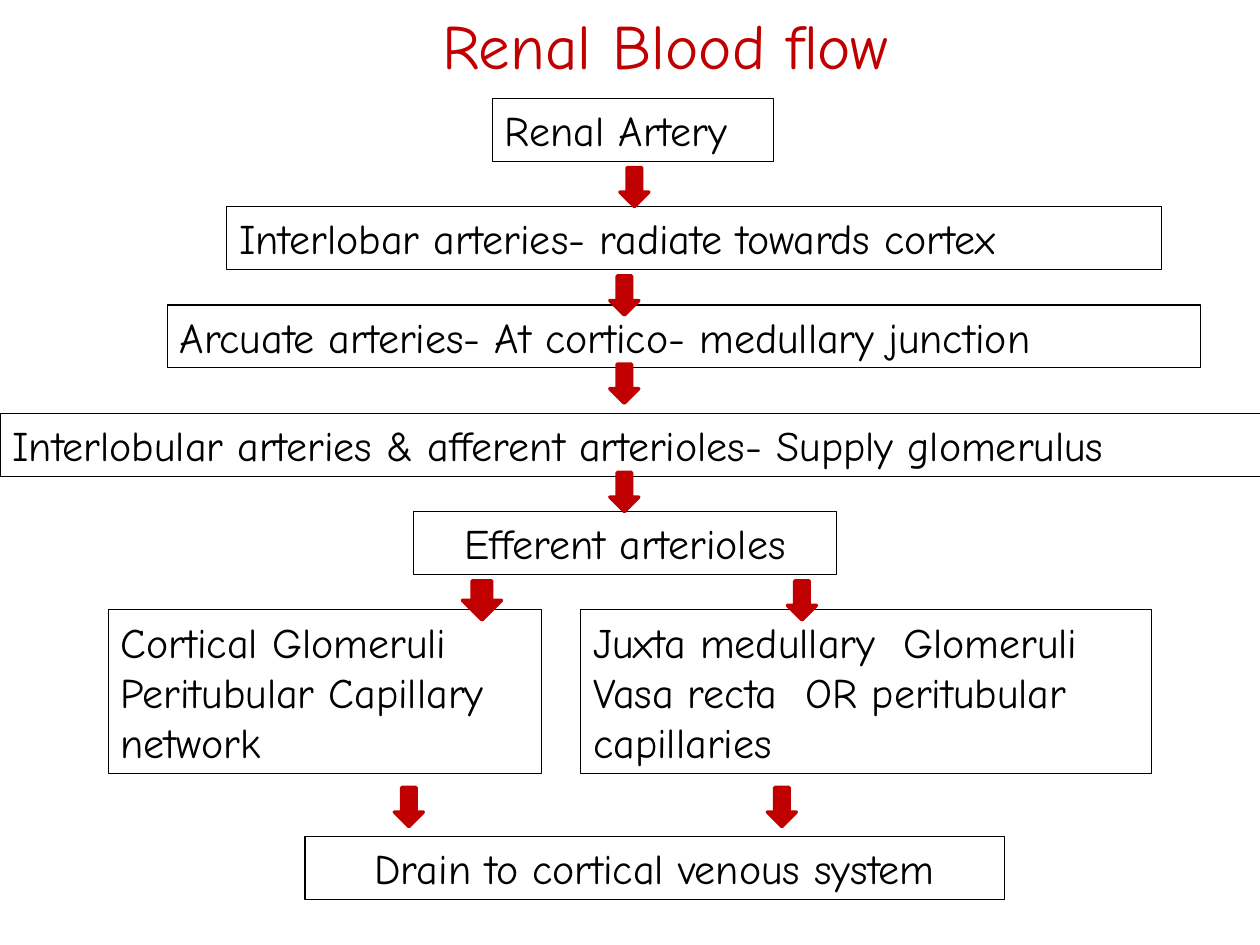
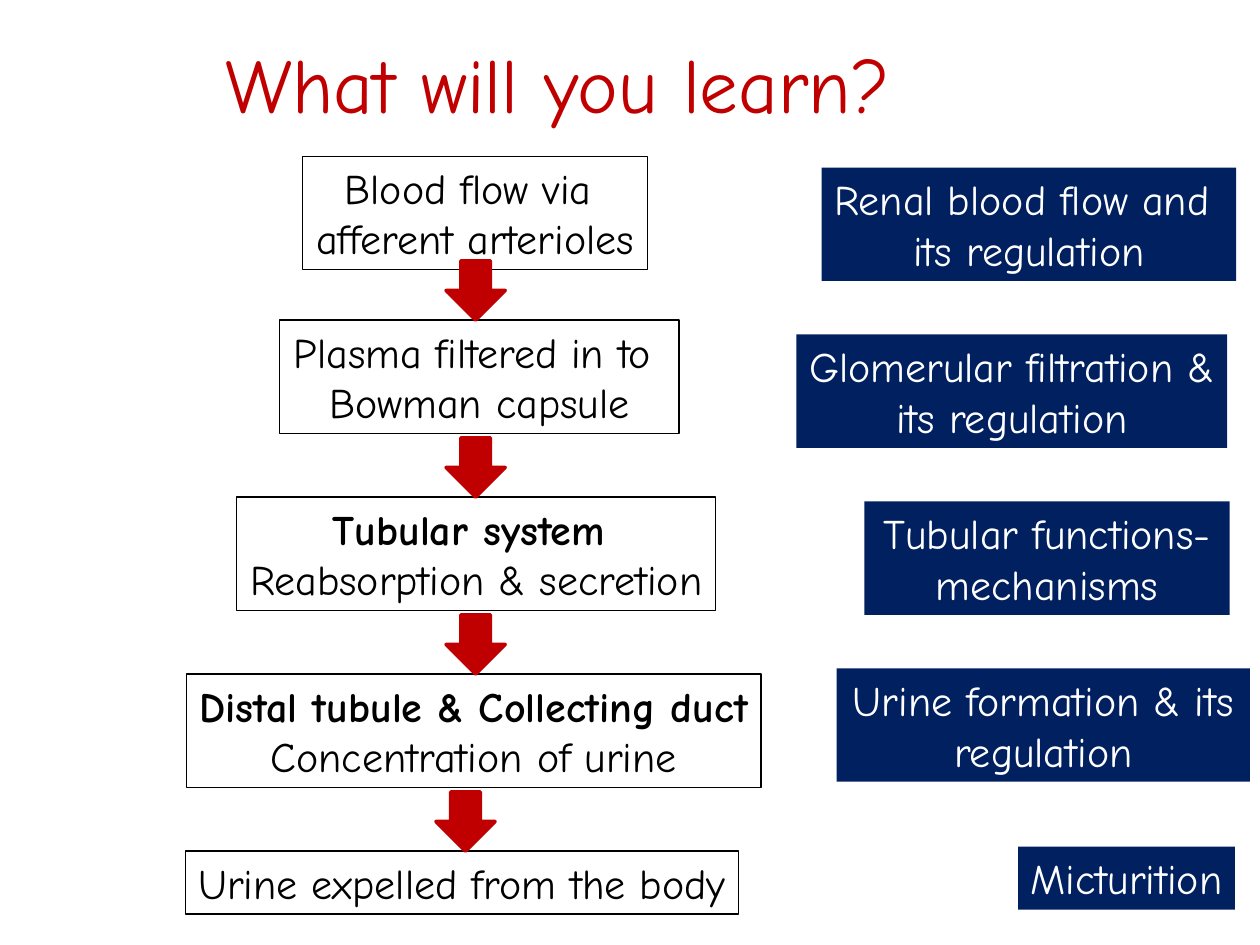
"""Build two flowchart slides on renal blood flow and urine formation."""
from dataclasses import dataclass
from typing import Any

import pptx
import pptx.dml.color
import pptx.enum.shapes
import pptx.enum.text
import pptx.util

Inches = pptx.util.Inches
Pt = pptx.util.Pt
SHAPE = pptx.enum.shapes.MSO_SHAPE
ALIGN = pptx.enum.text.PP_ALIGN
ANCHOR = pptx.enum.text.MSO_ANCHOR
FIT = pptx.enum.text.MSO_AUTO_SIZE

FONT = "Comic Neue"
RED, NAVY, BLACK, WHITE = "C00000", "002060", "000000", "FFFFFF"
LINE_HEIGHT, PADDING = 0.4, 0.1
LEARN_ARROW = 0.47
STEP_TOP, STEP_PITCH = 2.54, 1.405
PANEL_TOP, PANEL_PITCH = 1.33, 1.325


@dataclass
class Box:
    left: float
    top: float
    width: float
    lines: list[str]
    rows: int = 1
    centred: bool = False
    wrap: bool = True
    bold_first: bool = False
    fill: str = ""


@dataclass
class Arrow:
    left: float
    top: float
    width: float = 0.23
    height: float = 0.31


FLOW_BOXES = [
    Box(3.91, 0.78, 2.23, ["Renal Artery"]),
    Box(1.8, 1.64, 7.42, ["Interlobar arteries- radiate towards cortex"]),
    Box(1.33, 2.42, 8.2, ["Arcuate arteries- At cortico- medullary junction"]),
    Box(0, 3.28, 10.08, ["Interlobular arteries & afferent arterioles- Supply glomerulus"]),
    Box(3.28, 4.06, 3.36, ["Efferent arterioles"], centred=True),
    Box(0.86, 4.84, 3.44, ["Cortical Glomeruli", "Peritubular Capillary network"], rows=3),
    Box(4.61, 4.84, 4.53,
        ["Juxta medullary  Glomeruli", "Vasa recta  OR peritubular capillaries"], rows=3),
    Box(2.42, 6.64, 5.55, ["Drain to cortical venous system"], centred=True),
]

FLOW_ARROWS = [
    Arrow(4.92, 1.33),
    *(Arrow(4.84, top) for top in (2.19, 2.89, 3.75)),
    Arrow(6.25, 4.61),
    Arrow(3.67, 4.61, width=0.31),
    Arrow(6.09, 6.25),
    Arrow(3.13, 6.25),
]

LATER_STEPS = [
    (2.22, 3.17, ["Plasma filtered in to ", "Bowman capsule"], False, 3.54),
    (1.88, 3.8, ["Tubular system ", "Reabsorption & secretion"], True, 3.54),
    (1.48, 4.56, ["Distal tubule & Collecting duct", "Concentration of urine"], True, 3.54),
    (1.47, 4.39, ["Urine expelled from the body"], False, 3.46),
]

TOPICS = [
    (6.52, 3.29, ["Renal blood flow and ", "its regulation"], False),
    (6.32, 3.42, ["Glomerular filtration &", "its regulation"], False),
    (6.86, 2.9, ["Tubular functions- ", "mechanisms"], False),
    (6.64, 3.28, ["Urine formation & its regulation"], True),
]


def rgb(value: str) -> pptx.dml.color.RGBColor:
    """Turn a hex string into a colour."""
    return pptx.dml.color.RGBColor.from_string(value)


def apply(target: Any, values: dict[str, Any]) -> None:
    """Set each attribute named in a dict of format values."""
    for name, value in values.items():
        setattr(target, name, value)


def write(p: Any, text: str, size: int, color: str, align: Any, bold: bool = False) -> None:
    """Write one formatted run into a paragraph."""
    p.alignment = align
    r = p.add_run()
    r.text = text
    apply(r.font, {"name": FONT, "size": Pt(size), "bold": bold})
    r.font.color.rgb = rgb(color)


def add_title(s: Any, text: str, size: int, left: float, top: float,
              width: float, height: float) -> None:
    """Move and format the title placeholder."""
    sp = s.shapes.title
    apply(sp, {"left": Inches(left), "top": Inches(top),
               "width": Inches(width), "height": Inches(height)})
    tf = sp.text_frame
    apply(tf, {"auto_size": FIT.NONE, "vertical_anchor": ANCHOR.MIDDLE, "word_wrap": True})
    write(tf.paragraphs[0], text, size, RED, ALIGN.CENTER)


def add_box(shapes: Any, box: Box) -> None:
    """Draw an outlined step or a filled topic panel."""
    sp = shapes.add_shape(SHAPE.RECTANGLE, Inches(box.left), Inches(box.top),
                          Inches(box.width), Inches(box.rows * LINE_HEIGHT + PADDING))
    sp.shadow.inherit = False
    if box.fill:
        sp.fill.solid()
        sp.fill.fore_color.rgb = rgb(box.fill)
        sp.line.fill.background()
    else:
        sp.fill.background()
        sp.line.color.rgb = rgb(BLACK)
        sp.line.width = Pt(0.75)
    tf = sp.text_frame
    apply(tf, {"word_wrap": box.wrap, "auto_size": FIT.SHAPE_TO_FIT_TEXT,
               "vertical_anchor": ANCHOR.TOP})
    for i, text in enumerate(box.lines):
        p = tf.add_paragraph() if i else tf.paragraphs[0]
        write(p, text, 24, WHITE if box.fill else BLACK,
              ALIGN.CENTER if box.centred else ALIGN.LEFT, box.bold_first and i == 0)


def add_arrow(shapes: Any, arrow: Arrow) -> None:
    """Draw a red down arrow."""
    sp = shapes.add_shape(SHAPE.DOWN_ARROW, Inches(arrow.left), Inches(arrow.top),
                          Inches(arrow.width), Inches(arrow.height))
    sp.shadow.inherit = False
    sp.fill.solid()
    sp.fill.fore_color.rgb = rgb(RED)
    sp.line.color.rgb = rgb(RED)
    sp.line.width = Pt(2)


def build_blood_flow(s: Any) -> None:
    """Fill the renal blood flow slide."""
    add_title(s, "Renal Blood flow", 36, 0.78, 0, 9, 0.7)
    for box in FLOW_BOXES:
        add_box(s.shapes, box)
    for arrow in FLOW_ARROWS:
        add_arrow(s.shapes, arrow)


def build_learning(s: Any) -> None:
    """Fill the learning outline slide."""
    add_title(s, "What will you learn?", 44, 1.36, 0.23, 6.14, 0.86)
    steps = [Box(2.4, 1.24, 2.74, ["Blood flow via ", "afferent arterioles"],
                 rows=2, centred=True, wrap=False)]
    arrows = []
    for i, (left, width, lines, bold, arrow_left) in enumerate(LATER_STEPS):
        top = STEP_TOP + i * STEP_PITCH
        steps.append(Box(left, top, width, lines, len(lines), True, False, bold))
        arrows.append(Arrow(arrow_left, top - LEARN_ARROW, LEARN_ARROW, LEARN_ARROW))
    group = s.shapes.add_group_shape()
    for box in steps:
        add_box(group.shapes, box)
    for arrow in arrows:
        add_arrow(group.shapes, arrow)
    for i, (left, width, lines, wrap) in enumerate(TOPICS):
        add_box(s.shapes, Box(left, PANEL_TOP + i * PANEL_PITCH, width, lines,
                              rows=2, centred=True, wrap=wrap, fill=NAVY))
    add_box(s.shapes, Box(8.08, 6.72, 1.72, ["Micturition"],
                          centred=True, wrap=False, fill=NAVY))


def main() -> None:
    """Build and save the presentation."""
    prs = pptx.Presentation()
    apply(prs, {"slide_width": Inches(10), "slide_height": Inches(7.5)})
    for build in (build_blood_flow, build_learning):
        build(prs.slides.add_slide(prs.slide_layouts[5]))
    prs.save("out.pptx")


if __name__ == "__main__":
    main()
